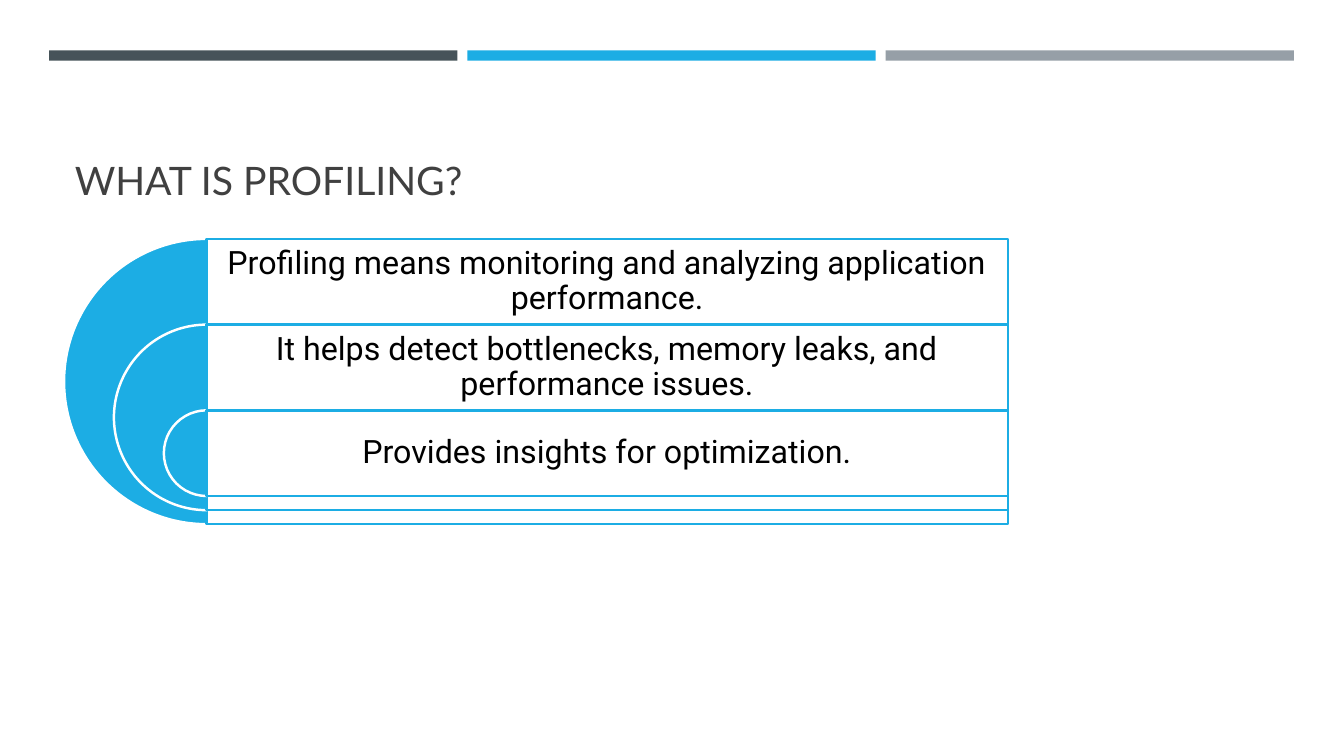
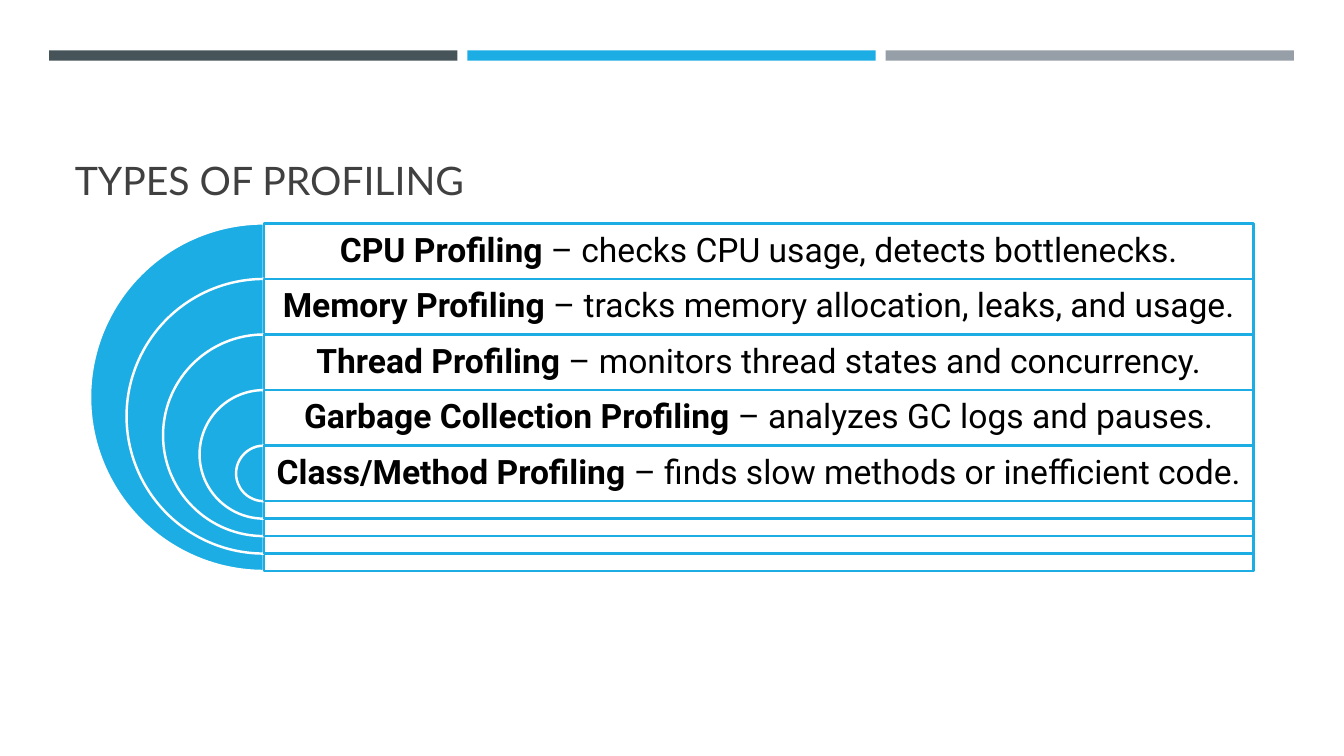
"""Build two slides on profiling, each a stack of nested half circles with labelled rows."""
from lxml import etree
from pptx import Presentation
from pptx.dml.color import RGBColor
from pptx.enum.shapes import MSO_SHAPE
from pptx.enum.text import MSO_ANCHOR, PP_ALIGN
from pptx.oxml.ns import qn
from pptx.util import Cm, Pt

RECTANGLE, PIE = MSO_SHAPE.RECTANGLE, MSO_SHAPE.PIE
MIDDLE, BOTTOM = MSO_ANCHOR.MIDDLE, MSO_ANCHOR.BOTTOM
LEFT, CENTER = PP_ALIGN.LEFT, PP_ALIGN.CENTER

BLUE, WHITE, BLACK, TITLE_GRAY = "1CADE4", "FFFFFF", "000000", "404040"
BAND_COLORS = ["465359", BLUE, "969FA7"]
BAND_LEFT, BAND_TOP, BAND_WIDTH, BAND_HEIGHT, BAND_STEP = 1.24, 1.27, 10.29, 0.26, 10.54

SLIDES = [
    {
        "title": "WHAT IS PROFILING?",
        "left": 5.21, "top": 6.02, "width": 20.19,
        "diameter": 7.19, "row": 2.16, "size": 23,
        "rows": [
            ("", "Profiling means monitoring and analyzing application performance."),
            ("", "It helps detect bottlenecks, memory leaks, and performance issues."),
            ("", "Provides insights for optimization."),
        ],
    },
    {
        "title": "TYPES OF PROFILING",
        "left": 6.65, "top": 5.63, "width": 24.94,
        "diameter": 8.76, "row": 1.4, "size": 24,
        "rows": [
            ("CPU Profiling", " – checks CPU usage, detects bottlenecks."),
            ("Memory Profiling", " – tracks memory allocation, leaks, and usage."),
            ("Thread Profiling", " – monitors thread states and concurrency."),
            ("Garbage Collection Profiling", " – analyzes GC logs and pauses."),
            ("Class/Method Profiling", " – finds slow methods or inefficient code."),
        ],
    },
]


def color(value):
    return RGBColor.from_string(value)


def add_filled(slide, kind, left, top, width, height, fill, line=None):
    shape = slide.shapes.add_shape(kind, Cm(left), Cm(top), Cm(width), Cm(height))
    shape.shadow.inherit = False
    shape.fill.solid()
    shape.fill.fore_color.rgb = color(fill)
    if line:
        shape.line.color.rgb = color(line)
        shape.line.width = Pt(1.75)
    else:
        shape.line.fill.background()
    return shape


presentation = Presentation()
presentation.slide_width, presentation.slide_height = Cm(33.87), Cm(19.05)

for content in SLIDES:
    slide = presentation.slides.add_slide(presentation.slide_layouts[5])
    for index, band_color in enumerate(BAND_COLORS):
        add_filled(slide, RECTANGLE, BAND_LEFT + index * BAND_STEP, BAND_TOP,
                   BAND_WIDTH, BAND_HEIGHT, band_color)

    title = slide.shapes.title
    title.left, title.top, title.width, title.height = Cm(1.63), Cm(1.96), Cm(30.63), Cm(3.3)
    title.text_frame.text = content["title"]
    title.text_frame.vertical_anchor = BOTTOM
    paragraph = title.text_frame.paragraphs[0]
    paragraph.alignment = LEFT
    paragraph.font.name = "Lato"
    paragraph.font.size = Pt(28)
    paragraph.font.color.rgb = color(TITLE_GRAY)

    left, row = content["left"], content["row"]
    shrink = (content["diameter"] - row) / (len(content["rows"]) - 1)
    for index, (term, description) in enumerate(content["rows"]):
        diameter = content["diameter"] - index * shrink
        top = content["top"] + index * row

        half_circle = add_filled(slide, PIE, left - diameter / 2, top,
                                 diameter, diameter, BLUE, WHITE)
        half_circle.adjustments[0] = 54
        half_circle.adjustments[1] = 162

        panel = add_filled(slide, RECTANGLE, left, top, content["width"], diameter, WHITE, BLUE)
        panel_color = panel._element.spPr.find(qn("a:solidFill"))[0]
        etree.SubElement(panel_color, qn("a:alpha"), val="90000")

        frame = panel.text_frame
        frame.word_wrap = True
        frame.vertical_anchor = MIDDLE
        frame.margin_left = frame.margin_right = Cm(0.25)
        frame.margin_top, frame.margin_bottom = 0, Cm(diameter - row)
        paragraph = frame.paragraphs[0]
        paragraph.alignment = CENTER
        paragraph.line_spacing = 0.9
        paragraph.font.name = "Roboto"
        paragraph.font.size = Pt(content["size"])
        paragraph.font.color.rgb = color(BLACK)
        if term:
            run = paragraph.add_run()
            run.text = term
            run.font.bold = True
        paragraph.add_run().text = description

presentation.save("out.pptx")
